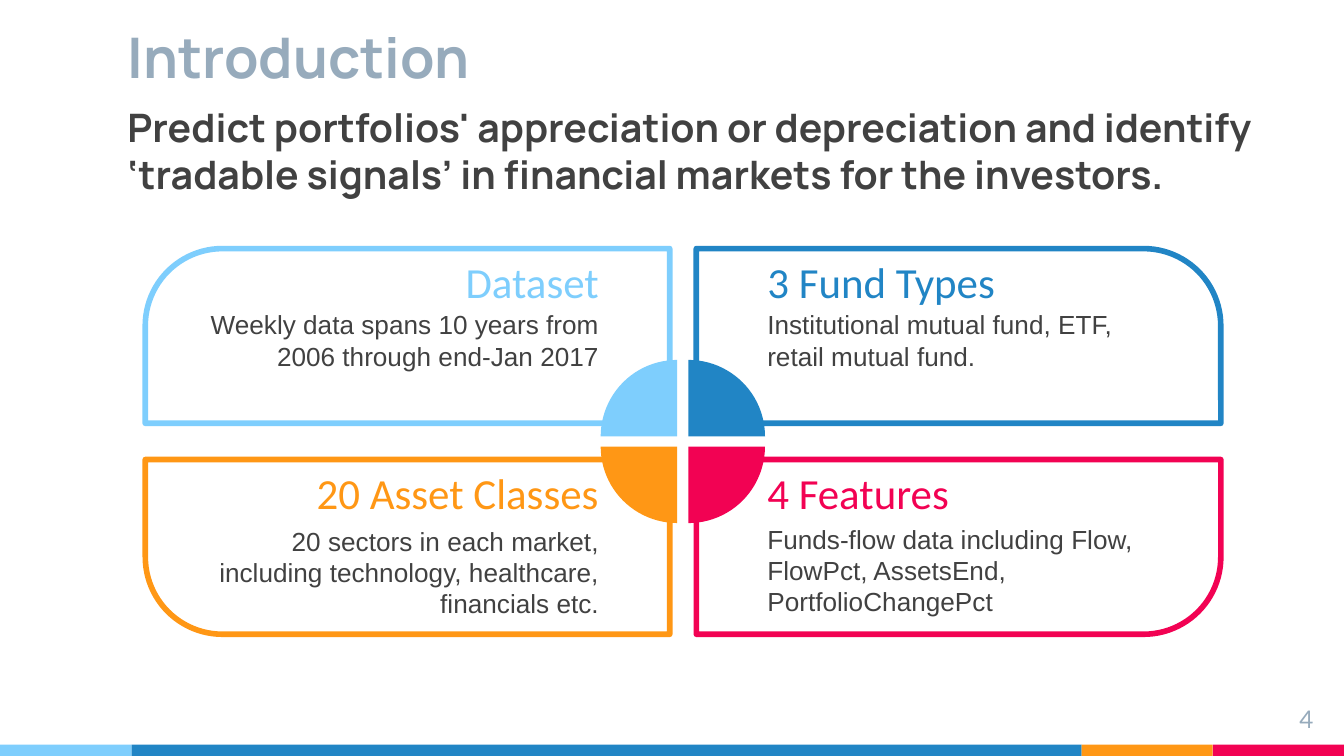
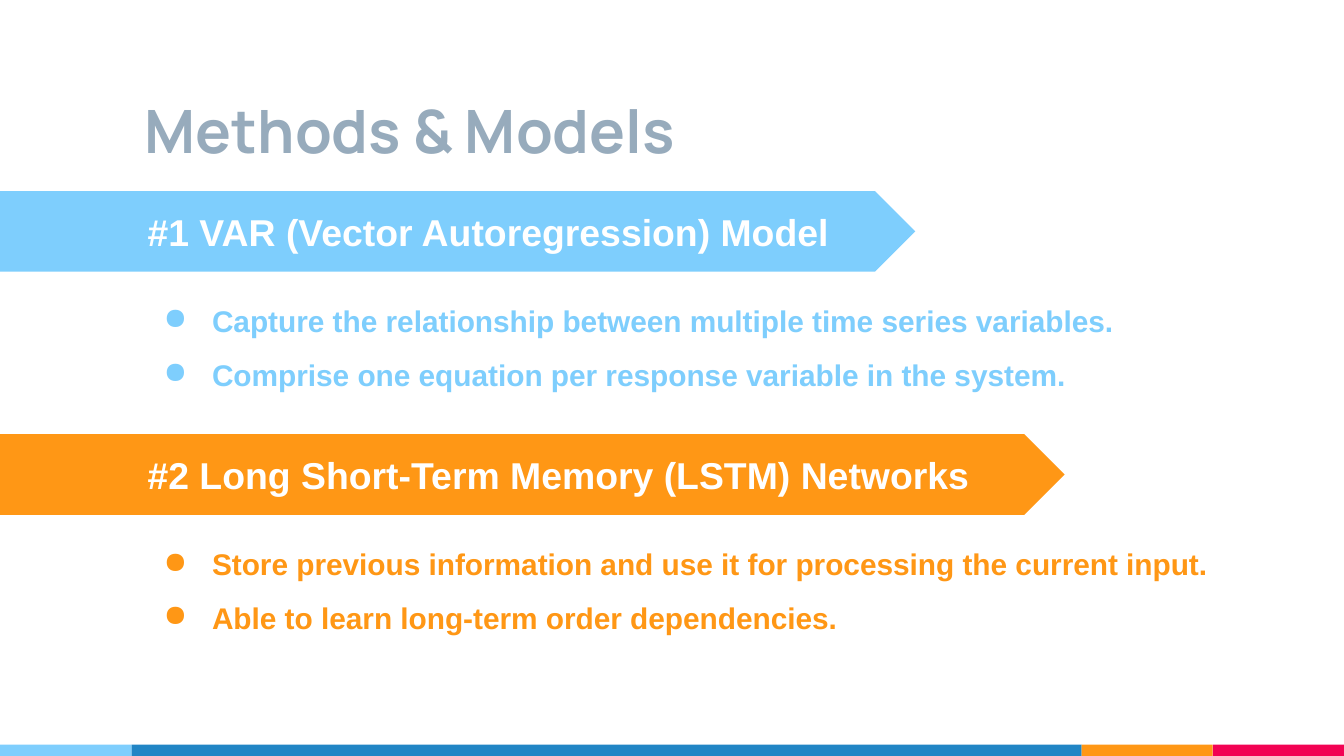
"""Build two slides: an introduction with four cards, and the methods and models."""
from itertools import accumulate

from lxml import etree
from pptx import Presentation
from pptx.dml.color import RGBColor
from pptx.enum import shapes, text
from pptx.oxml import ns
from pptx.util import Pt

SKY, BLUE, ORANGE, PINK = "7ECEFD", "2185C5", "FF9715", "F20253"
TITLE, BODY, WHITE = "97ABBC", "414141", "FFFFFF"
SLIDE_WIDTH, SLIDE_HEIGHT, INSET = 720, 405, 7.2

FOOTER_TOP = 399
FOOTER = [(SKY, 70.5), (BLUE, 509), (ORANGE, 70.25), (PINK, 70.25)]

PURPOSE = ("Predict portfolios' appreciation or depreciation and identify "
           "‘tradable signals’ in financial markets for the investors.")

CARD_WIDTH, CARD_HEIGHT = 281, 93.6
CARD_LEFT, CARD_TOP = (77.8, 373), (133.2, 246.2)
PIE_SIZE, PIE_LEFT, PIE_TOP = 82, (321.8, 327.8), (192.8, 198.2)
LEFT_TEXT_END, RIGHT_TEXT_START = 328, 404
CARDS = [
    dict(column=0, row=0, color=SKY, heading="Dataset", heading_width=173.5,
         body="Weekly data spans 10 years from 2006 through end-Jan 2017",
         body_width=238.5, body_top=158.4),
    dict(column=1, row=0, color=BLUE, heading="3 Fund Types", heading_width=281,
         body="Institutional mutual fund, ETF, retail mutual fund.",
         body_width=210, body_top=158.4),
    dict(column=1, row=1, color=PINK, heading="4 Features", heading_width=258.5,
         body="Funds-flow data including Flow, FlowPct, AssetsEnd, PortfolioChangePct",
         body_width=250, body_top=281.7),
    dict(column=0, row=1, color=ORANGE, heading="20 Asset Classes", heading_width=224,
         body="20 sectors in each market, including technology, healthcare, financials etc.",
         body_width=229.5, body_top=282.7),
]

BANNER_TOP, BANNER_STEP, BANNER_HEIGHT = 102.4, 130.2, 43.2
METHODS = [
    ("#1 VAR (Vector Autoregression) Model", SKY, 490.4, [
        "Capture the relationship between multiple time series variables.",
        "Comprise one equation per response variable in the system."]),
    ("#2 Long Short-Term Memory (LSTM) Networks", ORANGE, 570.4, [
        "Store previous information and use it for processing the current input.",
        "Able to learn long-term order dependencies."]),
]


def rgb(color):
    return RGBColor.from_string(color)


def add_shape(slide, kind, left, top, width, height, fill=None, line=None):
    shape = slide.shapes.add_shape(kind, Pt(left), Pt(top), Pt(width), Pt(height))
    shape.shadow.inherit = False
    if fill:
        shape.fill.solid()
        shape.fill.fore_color.rgb = rgb(fill)
    else:
        shape.fill.background()
    if line:
        shape.line.color.rgb = rgb(line)
        shape.line.width = Pt(3)
    else:
        shape.line.fill.background()
    return shape


def write(shape, lines, font, size, color, bold=False, align="LEFT", anchor="TOP"):
    frame = shape.text_frame
    frame.word_wrap = True
    frame.vertical_anchor = text.MSO_ANCHOR[anchor]
    frame.margin_left = frame.margin_right = Pt(INSET)
    frame.margin_top = frame.margin_bottom = Pt(INSET)
    for index, line in enumerate(lines):
        paragraph = frame.add_paragraph() if index else frame.paragraphs[0]
        paragraph.alignment = text.PP_ALIGN[align]
        run = paragraph.add_run()
        run.text = line
        run.font.name = font
        run.font.size = Pt(size)
        run.font.bold = bold
        run.font.color.rgb = rgb(color)
    return frame.paragraphs


def add_text(slide, left, top, width, height, lines, *style, **options):
    box = slide.shapes.add_textbox(Pt(left), Pt(top), Pt(width), Pt(height))
    return write(box, lines, *style, **options)


def indent(paragraph, margin, first_line):
    properties = paragraph._p.get_or_add_pPr()
    properties.set("marL", str(Pt(margin)))
    properties.set("indent", str(Pt(first_line)))
    return properties


def add_bullet(paragraph, color):
    paragraph.line_spacing = 1.5
    properties = indent(paragraph, 36, -26)
    bullet_color = etree.SubElement(properties, ns.qn("a:buClr"))
    etree.SubElement(bullet_color, ns.qn("a:srgbClr"), val=color)
    etree.SubElement(properties, ns.qn("a:buChar"), char="●")


def add_slide(presentation):
    slide = presentation.slides.add_slide(presentation.slide_layouts[6])
    slide.background.fill.solid()
    slide.background.fill.fore_color.rgb = rgb(WHITE)
    ends = accumulate(width for _, width in FOOTER)
    for (color, width), end in zip(FOOTER, ends):
        add_shape(slide, shapes.MSO_SHAPE.RECTANGLE, end - width, FOOTER_TOP,
                  width, SLIDE_HEIGHT - FOOTER_TOP, color)
    return slide


def add_title(slide, title, left, top, width, height, size, anchor):
    add_text(slide, left, top, width, height, [title], "Manrope", size, TITLE,
             bold=True, anchor=anchor)


def add_card_frame(slide, card):
    column, row = card["column"], card["row"]
    frame = add_shape(slide, shapes.MSO_SHAPE.ROUND_1_RECTANGLE, CARD_LEFT[column],
                      CARD_TOP[row], CARD_WIDTH, CARD_HEIGHT, line=card["color"])
    frame.adjustments[0] = 0.442
    frame.rotation = 180 * row
    if column == row:
        frame._element.spPr.xfrm.set("flipH", "1")


def add_card_text(slide, card):
    parts = [
        (card["heading"], card["heading_width"], CARD_TOP[card["row"]] - 1.4, 37.4,
         "Calibri", 23, card["color"]),
        (card["body"], card["body_width"], card["body_top"], 47.5, "Arial", 14, BODY),
    ]
    for words, width, top, height, *style in parts:
        on_right = card["column"] == 1
        left = RIGHT_TEXT_START if on_right else LEFT_TEXT_END - width
        add_text(slide, left, top, width, height, [words], *style,
                 align="LEFT" if on_right else "RIGHT", anchor="MIDDLE")


def add_quarter(slide, card, rotation):
    quarter = add_shape(slide, shapes.MSO_SHAPE.PIE, PIE_LEFT[card["column"]],
                        PIE_TOP[card["row"]], PIE_SIZE, PIE_SIZE, card["color"])
    quarter.adjustments[0] = 108
    quarter.adjustments[1] = 162
    quarter.rotation = rotation


def build_introduction(presentation):
    slide = add_slide(presentation)
    add_text(slide, 61.2, 48.2, 618.5, 65.5, [PURPOSE], "Manrope", 21, BODY, bold=True)
    add_text(slide, 667.5, 370, 43.2, 24.5, ["4"], "Lato", 13, TITLE, align="RIGHT")
    for card in CARDS:
        add_card_frame(slide, card)
    for card in CARDS:
        add_card_text(slide, card)
    for index, card in enumerate(CARDS):
        add_quarter(slide, card, 90 * index)
    add_title(slide, "Introduction", 61.2, 11.5, 606, 36.7, 30, "MIDDLE")


def build_methods(presentation):
    slide = add_slide(presentation)
    add_title(slide, "Methods & Models", 70.5, 28, 509, 67.7, 32, "BOTTOM")
    for index, (name, color, width, points) in enumerate(METHODS):
        top = BANNER_TOP + index * BANNER_STEP
        banner = add_shape(slide, shapes.MSO_SHAPE.PENTAGON, 0, top, width,
                           BANNER_HEIGHT, color)
        for paragraph in write(banner, [name], "Arial", 20, WHITE, bold=True,
                               anchor="MIDDLE"):
            indent(paragraph, 36, 36)
        for paragraph in add_text(slide, 70.5, top + BANNER_HEIGHT, 605.5, 63.4,
                                  points, "Arial", 16, color, bold=True):
            add_bullet(paragraph, color)


def main():
    presentation = Presentation()
    presentation.slide_width = Pt(SLIDE_WIDTH)
    presentation.slide_height = Pt(SLIDE_HEIGHT)
    build_introduction(presentation)
    build_methods(presentation)
    presentation.save("out.pptx")


if __name__ == "__main__":
    main()
